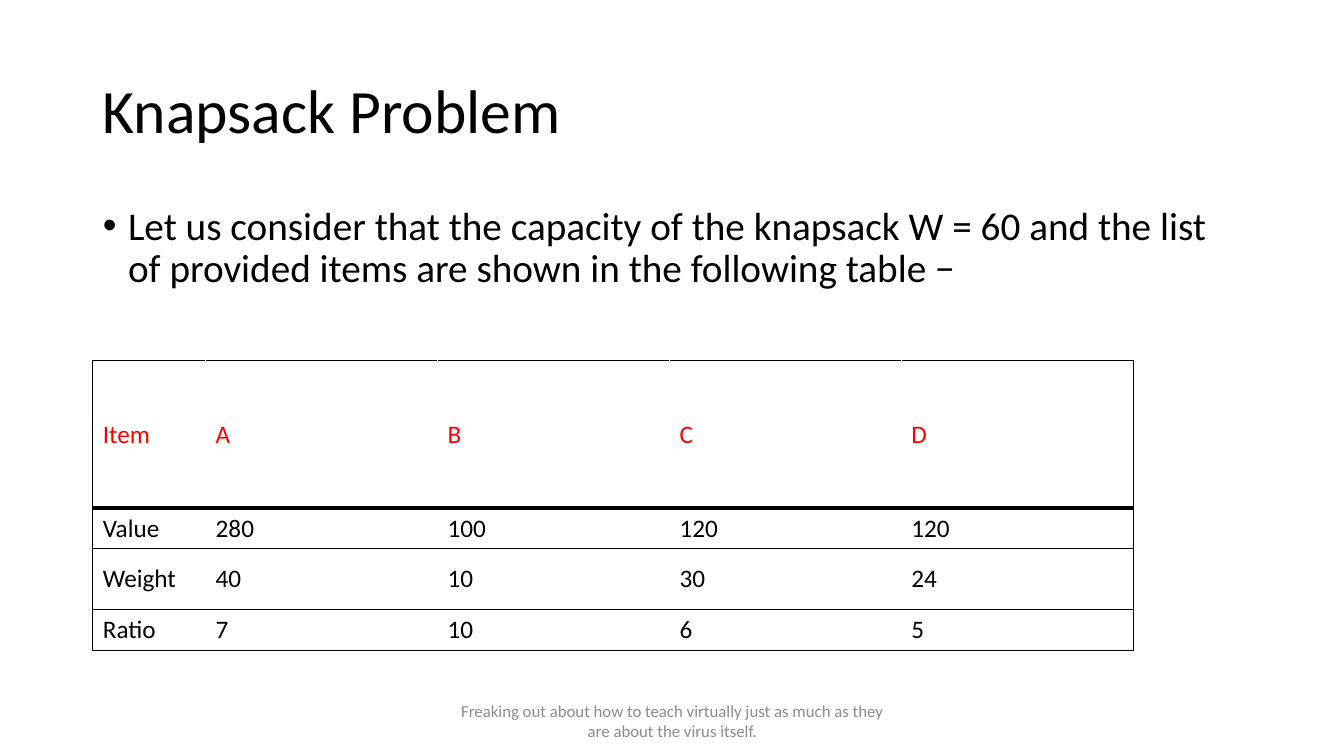
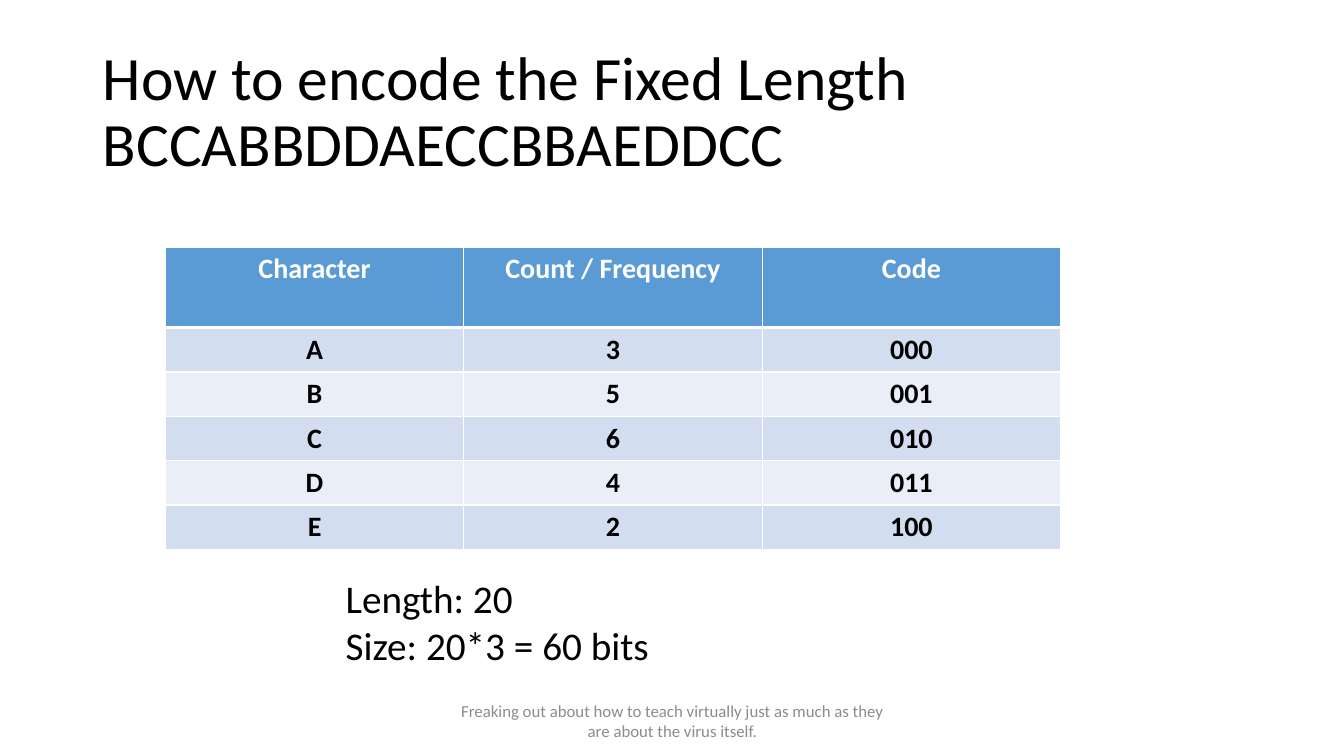
from pptx import Presentation
from pptx.dml.color import RGBColor
from pptx.enum.text import MSO_ANCHOR, MSO_AUTO_SIZE, PP_ALIGN
from pptx.oxml.ns import qn
from pptx.util import Inches, Pt
from lxml.etree import SubElement, Element

BLACK = RGBColor(0x00, 0x00, 0x00)
WHITE = RGBColor(0xFF, 0xFF, 0xFF)
RED = RGBColor(0xFF, 0x00, 0x00)
GRAY = RGBColor(0x8C, 0x8C, 0x8C)
BLUE = RGBColor(0x5B, 0x9B, 0xD5)
BAND_DARK = RGBColor(0xD2, 0xDE, 0xEF)
BAND_LIGHT = RGBColor(0xEA, 0xEF, 0xF7)

FONT = "Calibri"
TITLE_BOX = (0.92, 0.4, 11.5, 1.45)
BODY_BOX = (0.92, 2, 11.5, 1.4)
FOOTER_BOX = (4.42, 6.95, 4.5, 0.4)
FOOTER = ("Freaking out about how to teach virtually just as much as they "
          "are about the virus itself.")
TITLE_AND_CONTENT, TITLE_ONLY = 1, 5

ITEMS = [
    ["Item", "A", "B", "C", "D"],
    ["Value", "280", "100", "120", "120"],
    ["Weight", "40", "10", "30", "24"],
    ["Ratio", "7", "10", "6", "5"],
]
CODES = [
    ["Character", "Count / Frequency", "Code"],
    ["A", "3", "000"],
    ["B", "5", "001"],
    ["C", "6", "010"],
    ["D", "4", "011"],
    ["E", "2", "100"],
]


def write(tf, text, size, color=BLACK, bold=False, align=PP_ALIGN.LEFT,
          anchor=MSO_ANCHOR.TOP, spacing=None):
    """Fill the first paragraph; a newline in the text is a line break."""
    tf.word_wrap = True
    tf.vertical_anchor = anchor
    p = tf.paragraphs[0]
    p.alignment = align
    if spacing:
        p.line_spacing = spacing
    for i, line in enumerate(text.split("\n")):
        if i:
            p.add_line_break()
        r = p.add_run()
        r.text = line
        r.font.name, r.font.size, r.font.bold = FONT, Pt(size), bold
        r.font.color.rgb = color
    return p


def place(sp, box):
    sp.left, sp.top, sp.width, sp.height = map(Inches, box)
    sp.text_frame.auto_size = MSO_AUTO_SIZE.NONE


def add_text(s, box, text, size, **fmt):
    sp = s.shapes.add_textbox(*map(Inches, box))
    write(sp.text_frame, text, size, **fmt)


def add_slide(prs, layout, title):
    """Add a slide with the shared title and footer."""
    s = prs.slides.add_slide(prs.slide_layouts[layout])
    place(s.shapes.title, TITLE_BOX)
    write(s.shapes.title.text_frame, title, 44, anchor=MSO_ANCHOR.MIDDLE,
          spacing=0.9)
    add_text(s, FOOTER_BOX, FOOTER, 12, color=GRAY, align=PP_ALIGN.CENTER,
             anchor=MSO_ANCHOR.MIDDLE)
    return s


def add_bullet(sp, text):
    place(sp, BODY_BOX)
    p = write(sp.text_frame, text, 28, spacing=0.9)
    p.space_before = Pt(10)
    pPr = p._p.get_or_add_pPr()
    pPr.set("marL", str(Inches(0.25)))
    pPr.set("indent", str(-Inches(0.25)))
    SubElement(pPr, qn("a:buChar"), char="•")


def set_borders(cell, **sides):
    """Draw the sides L, R, T and B, each given as (colour, points)."""
    tcPr = cell._tc.get_or_add_tcPr()
    for i, side in enumerate("LRTB"):
        color, width = sides[side]
        ln = Element(qn(f"a:ln{side}"), w=str(Pt(width)))
        fill = SubElement(ln, qn("a:solidFill"))
        SubElement(fill, qn("a:srgbClr"), val=str(color))
        tcPr.insert(i, ln)


def add_table(s, left, top, widths, heights, rows, style):
    """Add a table; style(row, column) gives fill, borders and text format."""
    frame = s.shapes.add_table(len(rows), len(widths), Inches(left), Inches(top),
                               Inches(sum(widths)), Inches(sum(heights)))
    table = frame.table
    table.first_row = table.horz_banding = False
    for column, width in zip(table.columns, widths):
        column.width = Inches(width)
    for r, (row, height) in enumerate(zip(rows, heights)):
        table.rows[r].height = Inches(height)
        for c, text in enumerate(row):
            cell = table.cell(r, c)
            fill, borders, fmt = style(r, c)
            cell.fill.solid()
            cell.fill.fore_color.rgb = fill
            set_borders(cell, **borders)
            write(cell.text_frame, text, **fmt)
            cell.vertical_anchor = fmt.get("anchor", MSO_ANCHOR.TOP)


def header_rule(row, color):
    """Top and bottom borders, with a thick line under the header row."""
    return {"T": (color, 3 if row == 1 else 1), "B": (color, 3 if row == 0 else 1)}


def item_style(row, col):
    borders = header_rule(row, BLACK)
    borders["L"] = (BLACK if col == 0 else WHITE, 1)
    borders["R"] = (BLACK if col == len(ITEMS[0]) - 1 else WHITE, 1)
    fmt = {"size": 18, "color": BLACK if row else RED, "anchor": MSO_ANCHOR.MIDDLE}
    return WHITE, borders, fmt


def code_style(row, col):
    borders = header_rule(row, WHITE) | {"L": (WHITE, 1), "R": (WHITE, 1)}
    fmt = {"size": 20, "color": BLACK if row else WHITE, "bold": True,
           "align": PP_ALIGN.CENTER}
    band = BAND_DARK if row % 2 else BAND_LIGHT
    return band if row else BLUE, borders, fmt


def knapsack_slide(prs):
    s = add_slide(prs, TITLE_AND_CONTENT, "Knapsack Problem")
    add_bullet(s.placeholders[1],
               "Let us consider that the capacity of the knapsack W = 60 and the "
               "list of provided items are shown in the following table −")
    add_table(s, 0.92, 3.58, [1.12] + [2.3] * 4, [1.46, 0.4, 0.61, 0.4],
              ITEMS, item_style)


def encoding_slide(prs):
    s = add_slide(prs, TITLE_ONLY,
                  "How to encode the Fixed Length\nBCCABBDDAECCBBAEDDCC")
    add_table(s, 1.64, 2.45, [2.96] * 3, [0.8] + [0.44] * 5, CODES, code_style)
    add_text(s, (3.33, 5.65, 6.67, 1.04), "Length: 20\nSize: 20*3 = 60 bits", 28)


def main():
    prs = Presentation()
    prs.slide_width, prs.slide_height = Inches(13.33), Inches(7.5)
    knapsack_slide(prs)
    encoding_slide(prs)
    prs.save("out.pptx")


if __name__ == "__main__":
    main()
